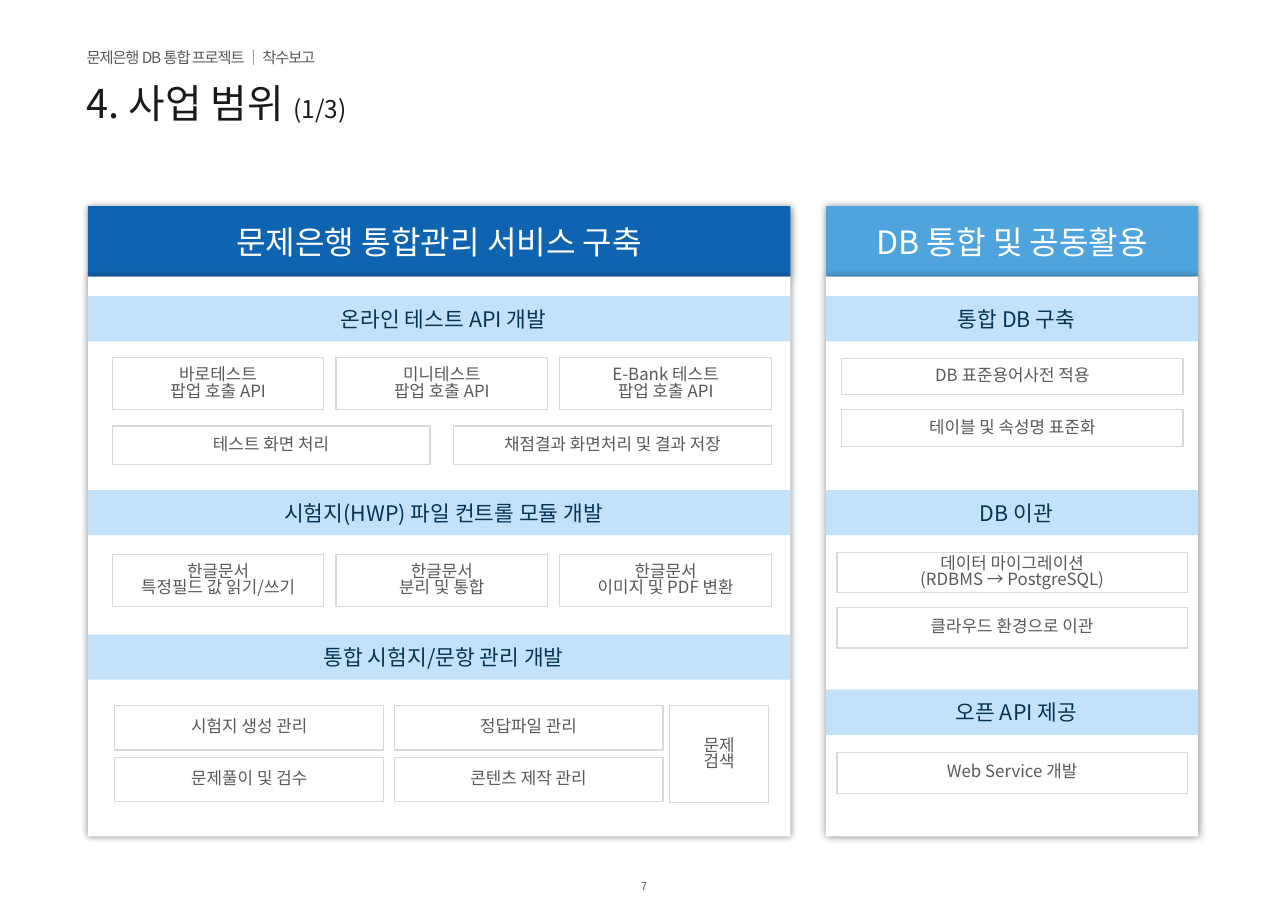
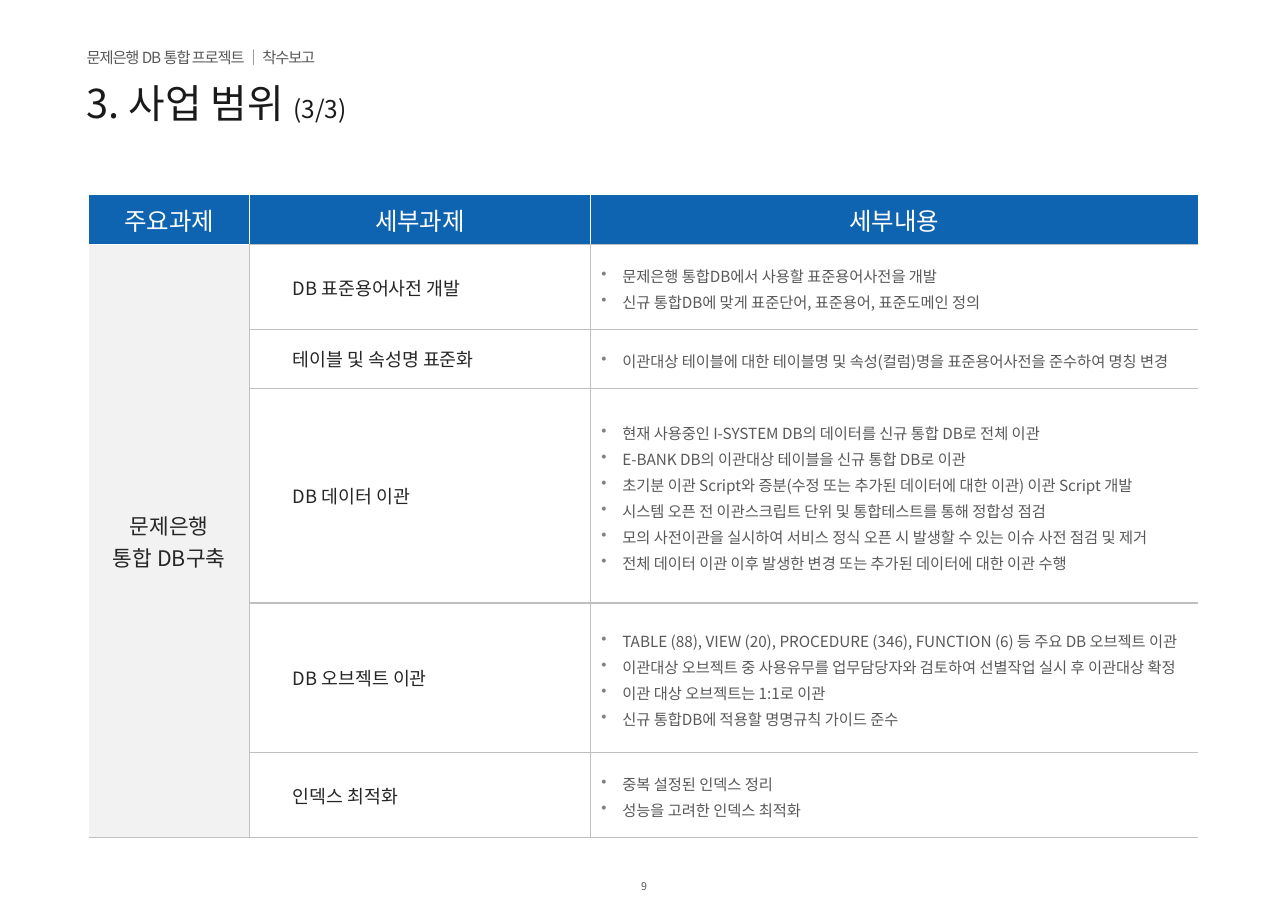
from lxml.etree import SubElement
from pptx import Presentation
from pptx.dml.color import RGBColor
from pptx.enum.shapes import MSO_SHAPE
from pptx.enum.text import MSO_ANCHOR, MSO_AUTO_SIZE, PP_ALIGN
from pptx.oxml.ns import qn
from pptx.util import Cm, Pt

FONT = "Noto Sans CJK KR"
COLORS = {
    "white": "FFFFFF", "title": "1A1A1A", "body": "595959", "topic": "262626",
    "blue": "0F64B1", "sky": "4FA4DD", "band": "C4E1FA", "navy": "073455",
    "outline": "D9D9D9", "grid": "BFBFBF", "group": "F2F2F2",
    "bullet": "808080", "edge": "0E69AA", "shadow": "000000",
}
# Size, colour and paragraph format of each kind of text
TEXT = {
    "running": (10, "body", {"alignment": PP_ALIGN.LEFT}),
    "page": (7, "body", {"alignment": PP_ALIGN.CENTER}),
    "title": (26, "title", {"alignment": PP_ALIGN.LEFT}),
    "panel": (21, "white", {"alignment": PP_ALIGN.CENTER}),
    "band": (14, "navy", {"alignment": PP_ALIGN.CENTER}),
    "item": (11, "body", {"alignment": PP_ALIGN.CENTER, "line_spacing": 0.82}),
    "head": (16, "white", {"alignment": PP_ALIGN.CENTER, "line_spacing": 0.95}),
    "group": (14, "topic", {"alignment": PP_ALIGN.CENTER}),
    "topic": (12, "topic", {"alignment": PP_ALIGN.LEFT}),
    "detail": (10, "body", {"alignment": PP_ALIGN.LEFT, "line_spacing": Pt(17)}),
}
MARGINS = ("margin_left", "margin_top", "margin_right", "margin_bottom")


def apply(target, values):
    for key, value in values.items():
        setattr(target, key, value)


def rgb(color):
    return RGBColor.from_string(COLORS[color])


def paint(fill, color):
    fill.solid()
    fill.fore_color.rgb = rgb(color)


def add_xml(parent, tag, **attributes):
    return SubElement(parent, qn(tag), {k: str(v) for k, v in attributes.items()})


class Deck:
    def __init__(self):
        self.prs = Presentation()
        apply(self.prs, {"slide_width": Cm(29.7), "slide_height": Cm(21)})
        self.slide = None

    # Text
    def frame(self, holder, margins=(0, 0, 0, 0)):
        apply(holder, dict(zip(MARGINS, map(Cm, margins))))
        holder.vertical_anchor = MSO_ANCHOR.MIDDLE

    def add_run(self, paragraph, text, size, color):
        run = paragraph.add_run()
        run.text = text
        apply(run.font, {"name": FONT, "size": Pt(size)})
        run.font.color.rgb = rgb(color)
        props = run._r.get_or_add_rPr()
        add_xml(props, "a:ea", typeface=FONT)
        return props

    def add_text(self, frame, text, kind, bulleted=False):
        size, color, layout = TEXT[kind]
        for i, line in enumerate(text.split("\n")):
            paragraph = frame.add_paragraph() if i else frame.paragraphs[0]
            if bulleted:
                self.bullet(paragraph)
            apply(paragraph, layout)
            props = self.add_run(paragraph, line, size, color)
        return props

    def bullet(self, paragraph):
        props = paragraph._p.get_or_add_pPr()
        props.set("marL", str(Cm(0.48)))
        props.set("indent", str(-Cm(0.48)))
        tint = add_xml(props, "a:buClr")
        add_xml(tint, "a:srgbClr", val=COLORS["bullet"])
        add_xml(props, "a:buChar", char="•")

    def label(self, x, y, w, h, text, kind):
        frame = self.slide.shapes.add_textbox(Cm(x), Cm(y), Cm(w), Cm(h)).text_frame
        self.frame(frame)
        frame.word_wrap = True
        return self.add_text(frame, text, kind)

    # Slide with running head, title and page number
    def new_slide(self, title, part, page):
        self.slide = self.prs.slides.add_slide(self.prs.slide_layouts[5])
        heading = self.slide.shapes.title
        apply(heading, {"left": Cm(2), "top": Cm(1.8), "width": Cm(25.6), "height": Cm(1.14)})
        frame = heading.text_frame
        self.frame(frame)
        apply(frame, {"word_wrap": True, "auto_size": MSO_AUTO_SIZE.NONE})
        self.add_text(frame, title + " ", "title")
        self.add_run(frame.paragraphs[0], part, 16, "title")
        running = self.label(2, 1.12, 8, 0.43, "문제은행 DB 통합 프로젝트 │ 착수보고", "running")
        running.set("spc", "-70")
        self.label(14.4, 20.27, 0.91, 0.3, page, "page")

    # Boxes
    def box(self, x, y, w, h, fill, text="", kind="item", line=None, shadow=False, inset=0):
        box = self.slide.shapes.add_shape(MSO_SHAPE.RECTANGLE, Cm(x), Cm(y), Cm(w), Cm(h))
        box.shadow.inherit = False
        paint(box.fill, fill)
        if line:
            box.line.color.rgb = rgb(line)
            box.line.width = Pt(0.75)
        else:
            box.line.fill.background()
        if shadow:
            effects = box._element.spPr.find(qn("a:effectLst"))
            glow = add_xml(effects, "a:outerShdw", blurRad=Pt(5), dist=0, dir=0,
                           algn="ctr", rotWithShape=0)
            tint = add_xml(glow, "a:srgbClr", val=COLORS["shadow"])
            add_xml(tint, "a:alpha", val=47000)
        if text:
            self.frame(box.text_frame, (inset, 0, 0, 0))
            box.text_frame.word_wrap = True
            self.add_text(box.text_frame, text, kind)

    def panel(self, x, w, color, title, bands):
        self.box(x, 4.75, w, 1.63, color, title, "panel", shadow=True)
        self.box(x, 6.38, w, 12.9, "white", shadow=True)
        for y, text in bands:
            self.box(x, y, w, 1.04, "band", text, "band", inset=0.2)

    def item_row(self, x, y, width, h, gap, labels):
        w = (width - gap * (len(labels) - 1)) / len(labels)
        for i, text in enumerate(labels):
            self.box(x + i * (w + gap), y, w, h, "white", text, line="outline")

    # Table
    def cell(self, cell, fill, borders, margins, text="", kind="topic", bulleted=False):
        self.frame(cell, margins)
        props = cell._tc.get_or_add_tcPr()
        for side in "LRTB":
            color, width = borders.get(side, (None, 0))
            edge = add_xml(props, f"a:ln{side}", w=Pt(width))
            if color:
                add_xml(add_xml(edge, "a:solidFill"), "a:srgbClr", val=COLORS[color])
            else:
                add_xml(edge, "a:noFill")
        paint(cell.fill, fill)
        if text:
            self.add_text(cell.text_frame, text, kind, bulleted)

    def scope_table(self, x, y, widths, heights, heads, group, rows):
        table = self.slide.shapes.add_table(
            len(heights), len(widths), Cm(x), Cm(y), Cm(sum(widths)), Cm(sum(heights))).table
        apply(table, {"first_row": False, "horz_banding": False})
        for column, width in zip(table.columns, widths):
            column.width = Cm(width)
        for row, height in zip(table.rows, heights):
            row.height = Cm(height)
        grid, white = ("grid", 1), ("white", 0.5)
        for i, text in enumerate(heads):
            borders = {"T": ("edge", 0.5), "B": grid if i else white}
            if i:
                borders["L"] = white
            if i < len(heads) - 1:
                borders["R"] = white
            self.cell(table.cell(0, i), "blue", borders, (0, 0, 0, 0), text, "head")
        table.cell(1, 0).merge(table.cell(len(rows), 0))
        for i, (topic, details) in enumerate(rows, 1):
            self.cell(table.cell(i, 0), "group",
                      {"R": grid, "T": white, "B": grid}, (0.1, 0, 0.1, 0),
                      group if i == 1 else "", "group")
            self.cell(table.cell(i, 1), "white", dict.fromkeys("LRTB", grid),
                      (1, 0.13, 0.25, 0.13), topic)
            self.cell(table.cell(i, 2), "white", dict.fromkeys("LTB", grid),
                      (0.25, 0.13, 0.25, 0.13), "\n".join(details), "detail", True)


def scope_overview(deck):
    deck.new_slide("4. 사업 범위", "(1/3)", "7")
    deck.panel(19.05, 8.58, "sky", "DB 통합 및 공동활용", [
        (6.83, "통합 DB 구축"), (11.3, "DB 이관"), (15.9, "오픈 API 제공")])
    deck.panel(2.03, 16.2, "blue", "문제은행 통합관리 서비스 구축", [
        (6.83, "온라인 테스트 API 개발"),
        (11.3, "시험지(HWP) 파일 컨트롤 모듈 개발"),
        (14.63, "통합 시험지/문항 관리 개발")])
    # Service items: left, top, row width, height, gap, labels
    for row in [
        (2.59, 8.25, 15.2, 1.2, 0.28, [
            f"{test}\n팝업 호출 API" for test in ("바로테스트", "미니테스트", "E-Bank 테스트")]),
        (2.59, 9.82, 15.2, 0.89, 0.55, ["테스트 화면 처리", "채점결과 화면처리 및 결과 저장"]),
        (2.59, 12.78, 15.2, 1.2, 0.28, [
            f"한글문서\n{work}" for work in
            ("특정필드 값 읽기/쓰기", "분리 및 통합", "이미지 및 PDF 변환")]),
        (2.65, 16.27, 12.64, 1.02, 0.24, ["시험지 생성 관리", "정답파일 관리"]),
        (2.65, 17.46, 12.64, 1.02, 0.24, ["문제풀이 및 검수", "콘텐츠 제작 관리"]),
        (15.44, 16.27, 2.29, 2.24, 0, ["문제\n검색"]),
        # Database items
        (19.41, 8.26, 7.87, 0.84, 0, ["DB 표준용어사전 적용"]),
        (19.41, 9.45, 7.87, 0.84, 0, ["테이블 및 속성명 표준화"]),
        (19.3, 12.73, 8.08, 0.94, 0, ["데이터 마이그레이션\n(RDBMS → PostgreSQL)"]),
        (19.3, 14, 8.08, 0.94, 0, ["클라우드 환경으로 이관"]),
        (19.3, 17.35, 8.08, 0.94, 0, ["Web Service 개발"]),
    ]:
        deck.item_row(*row)


def scope_details(deck):
    deck.new_slide("3. 사업 범위", "(3/3)", "9")
    deck.scope_table(
        2.05, 4.5, (3.7, 7.87, 14), (1.14, 1.96, 1.35, 4.95, 3.45, 1.96),
        ("주요과제", "세부과제", "세부내용"), "문제은행\n통합 DB구축", [
            ("DB 표준용어사전 개발", [
                "문제은행 통합DB에서 사용할 표준용어사전을 개발",
                "신규 통합DB에 맞게 표준단어, 표준용어, 표준도메인 정의"]),
            ("테이블 및 속성명 표준화", [
                "이관대상 테이블에 대한 테이블명 및 속성(컬럼)명을 표준용어사전을 준수하여 명칭 변경"]),
            ("DB 데이터 이관", [
                "현재 사용중인 I-SYSTEM DB의 데이터를 신규 통합 DB로 전체 이관",
                "E-BANK DB의 이관대상 테이블을 신규 통합 DB로 이관",
                "초기분 이관 Script와 증분(수정 또는 추가된 데이터에 대한 이관) 이관 Script 개발",
                "시스템 오픈 전 이관스크립트 단위 및 통합테스트를 통해 정합성 점검",
                "모의 사전이관을 실시하여 서비스 정식 오픈 시 발생할 수 있는 이슈 사전 점검 및 제거",
                "전체 데이터 이관 이후 발생한 변경 또는 추가된 데이터에 대한 이관 수행"]),
            ("DB 오브젝트 이관", [
                "TABLE (88), VIEW (20), PROCEDURE (346), FUNCTION (6) 등 주요 DB 오브젝트 이관",
                "이관대상 오브젝트 중 사용유무를 업무담당자와 검토하여 선별작업 실시 후 이관대상 확정",
                "이관 대상 오브젝트는 1:1로 이관",
                "신규 통합DB에 적용할 명명규칙 가이드 준수"]),
            ("인덱스 최적화", ["중복 설정된 인덱스 정리", "성능을 고려한 인덱스 최적화"]),
        ])


def main():
    deck = Deck()
    scope_overview(deck)
    scope_details(deck)
    deck.prs.save("out.pptx")


if __name__ == "__main__":
    main()
